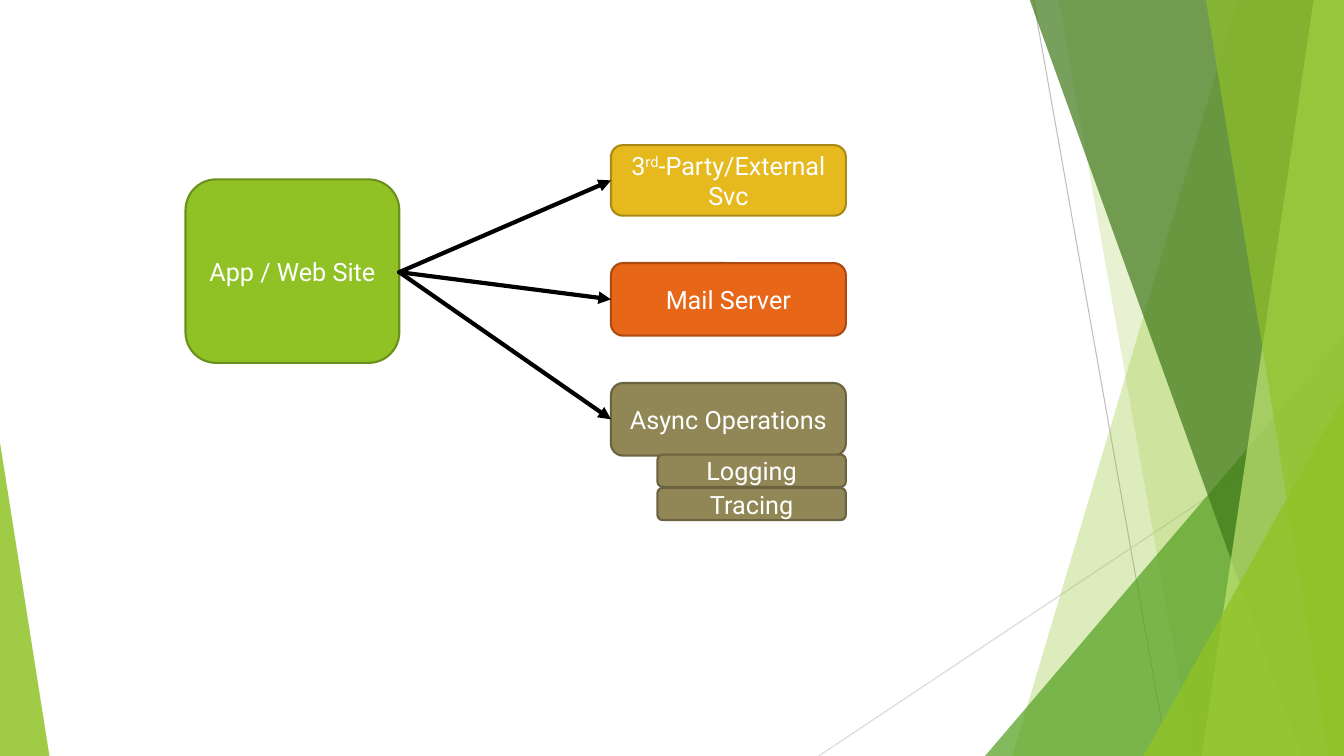
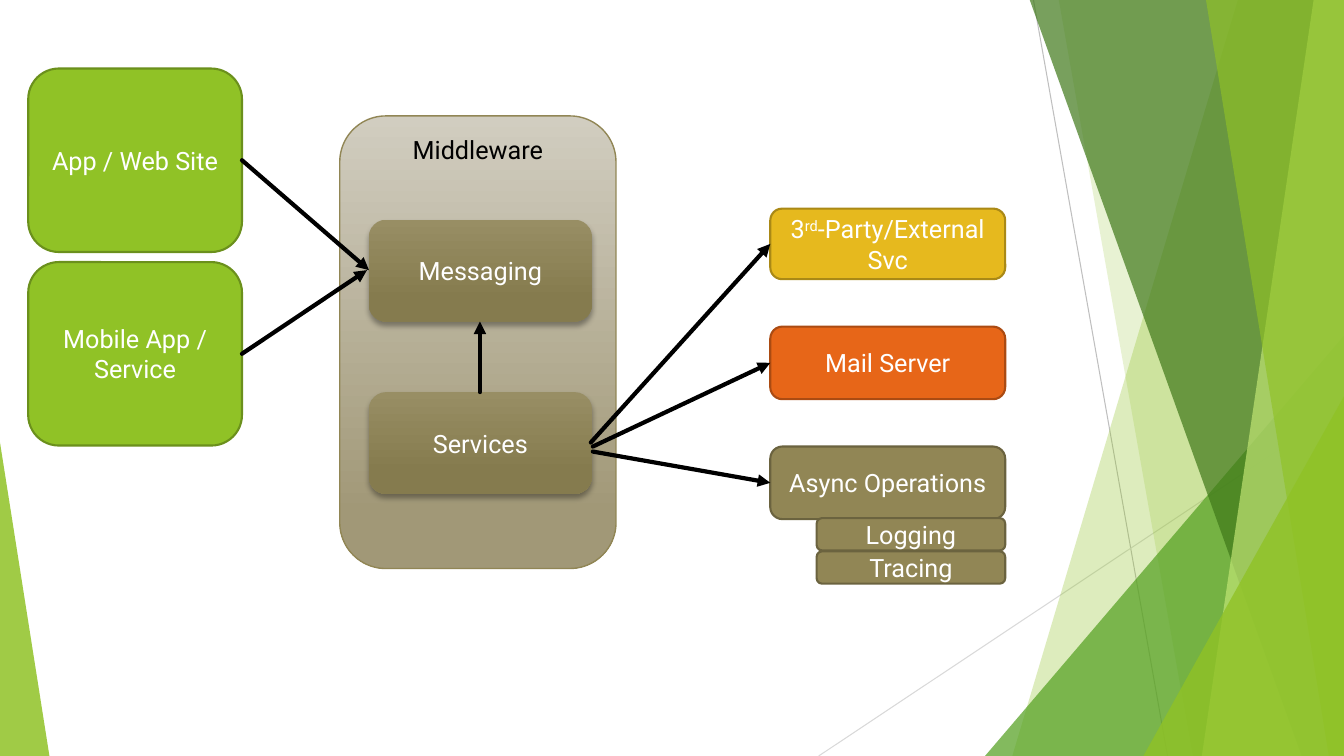
from lxml import etree
from pptx import Presentation
from pptx.dml.color import RGBColor
from pptx.enum.shapes import MSO_CONNECTOR, MSO_SHAPE
from pptx.enum.text import MSO_ANCHOR, PP_ALIGN
from pptx.oxml.ns import qn
from pptx.util import Inches, Pt

ROUNDED = MSO_SHAPE.ROUNDED_RECTANGLE
TRIANGLE = MSO_SHAPE.ISOSCELES_TRIANGLE
STRAIGHT = MSO_CONNECTOR.STRAIGHT
CENTER = PP_ALIGN.CENTER
TOP, MIDDLE = MSO_ANCHOR.TOP, MSO_ANCHOR.MIDDLE

FONT = "Roboto"
WHITE = RGBColor(0xFF, 0xFF, 0xFF)
BLACK = RGBColor(0, 0, 0)
GREEN = RGBColor(0x90, 0xC2, 0x26)
GREEN_EDGE = RGBColor(0x6B, 0x90, 0x1C)
MID_GREEN = RGBColor(0x54, 0xA0, 0x21)
DARK_GREEN = RGBColor(0x3F, 0x78, 0x19)
LIGHT_GREEN = RGBColor(0xC0, 0xE4, 0x74)
YELLOW = RGBColor(0xE6, 0xB9, 0x1E)
YELLOW_EDGE = RGBColor(0xAA, 0x89, 0x16)
ORANGE = RGBColor(0xE7, 0x66, 0x18)
ORANGE_EDGE = RGBColor(0xAB, 0x4B, 0x12)
OLIVE = RGBColor(0x91, 0x86, 0x55)
OLIVE_EDGE = RGBColor(0x6B, 0x63, 0x3F)
GRAY = RGBColor(0xBF, 0xBF, 0xBF)
PALE_GRAY = RGBColor(0xD9, 0xD9, 0xD9)
# Gradients: top colour, bottom colour, position of the bottom colour
PANEL_GRADIENT = (RGBColor(0xD1, 0xCD, 0xC0), RGBColor(0xA1, 0x98, 0x77), 0.88)
MODULE_GRADIENT = (RGBColor(0x98, 0x8E, 0x64), RGBColor(0x85, 0x7B, 0x4E), 0.78)

WIDTH, HEIGHT = 13.33, 7.5
BLEED_TOP = -0.01


def add_box(slide, box, runs, fill, edge=None, edge_width=1.5,
            color=WHITE, anchor=MIDDLE):
    shape = slide.shapes.add_shape(ROUNDED, *map(Inches, box))
    shape.shadow.inherit = False
    if isinstance(fill, RGBColor):
        shape.fill.solid()
        shape.fill.fore_color.rgb = fill
    else:
        shape.fill.gradient()
        shape.fill.gradient_angle = 270
        first, last = shape.fill.gradient_stops
        first.color.rgb, last.color.rgb = fill[:2]
        first.position, last.position = 0, fill[2]
    if edge is None:
        shape.line.fill.background()
    else:
        shape.line.color.rgb = edge
        shape.line.width = Pt(edge_width)
    frame = shape.text_frame
    frame.word_wrap = True
    frame.vertical_anchor = anchor
    paragraph = frame.paragraphs[0]
    paragraph.alignment = CENTER
    for text, baseline in runs:
        run = paragraph.add_run()
        run.text = text
        run.font.name = FONT
        run.font.size = Pt(18)
        run.font.color.rgb = color
        if baseline:
            run.font._element.set("baseline", str(baseline * 1000))
    return shape


def add_line(slide, start, end, color=BLACK, width=3, arrow=True):
    line = slide.shapes.add_connector(STRAIGHT, *map(Inches, start + end))
    line.line.color.rgb = color
    line.line.width = Pt(width)
    properties = line._element.spPr
    etree.SubElement(properties, qn("a:effectLst"))
    if arrow:
        outline = properties.find(qn("a:ln"))
        outline.set("cap", "rnd")
        etree.SubElement(outline, qn("a:tailEnd"), type="triangle")
    return line


presentation = Presentation()
presentation.slide_width = Inches(WIDTH)
presentation.slide_height = Inches(HEIGHT)
blank = presentation.slide_layouts[6]
direct_slide = presentation.slides.add_slide(blank)
middleware_slide = presentation.slides.add_slide(blank)

# Shared backdrop: thin lines, wedges and triangles, kept on the layout
backdrop = [
    add_line(direct_slide, (10.25, 0), (11.58, HEIGHT), GRAY, 0.75, False),
    add_line(direct_slide, (WIDTH, 4.03), (8.12, HEIGHT), PALE_GRAY, 0.75, False),
]
# A wedge has its top x and bottom x; a triangle has left, top, width and apex
facets = [
    ((12.28, 10.04), GREEN, 30),
    ((10.5, 11.83), GREEN, 20),
    ((9.77, 3.33, 3.56, 1), MID_GREEN, 72),
    ((10.21, 12.91), DARK_GREEN, 70),
    ((13.03, 11.92), LIGHT_GREEN, 70),
    ((11.96, 13.18), GREEN, 65),
    ((11.34, 3.93, 1.99, 1), GREEN, 80),
    ((0, 4.39, 0.49, 0), GREEN, 85),
]
for geometry, color, opacity in facets:
    if len(geometry) == 2:
        top_x, bottom_x = geometry
        builder = direct_slide.shapes.build_freeform(Inches(top_x), Inches(BLEED_TOP))
        corners = [(WIDTH, BLEED_TOP), (WIDTH, HEIGHT), (bottom_x, HEIGHT)]
        builder.add_line_segments([(Inches(x), Inches(y)) for x, y in corners])
        facet = builder.convert_to_shape()
    else:
        left, top, width, apex = geometry
        facet = direct_slide.shapes.add_shape(
            TRIANGLE, Inches(left), Inches(top), Inches(width), Inches(HEIGHT - top))
        facet.adjustments[0] = apex
    facet.shadow.inherit = False
    facet.line.fill.background()
    facet.fill.solid()
    facet.fill.fore_color.rgb = color
    color_element = facet._element.spPr.find(qn("a:solidFill"))[0]
    etree.SubElement(color_element, qn("a:alpha"), val=str(opacity * 1000))
    backdrop.append(facet)
for shape in backdrop:
    blank.shapes._spTree.append(shape._element)

# Client apps
for slide, left, top, label in [
    (direct_slide, 1.84, 1.78, "App / Web Site"),
    (middleware_slide, 0.28, 0.68, "App / Web Site"),
    (middleware_slide, 0.28, 2.6, "Mobile App / Service"),
]:
    add_box(slide, (left, top, 2.12, 1.82), [(label, 0)], GREEN, GREEN_EDGE)

# Back-end targets, each column with the arrows that reach it
external_label = [("3", 0), ("rd", 30), ("-Party/External Svc", 0)]
targets = [
    (0, 0, 2.33, 0.7, external_label, YELLOW, YELLOW_EDGE),
    (0, 1.17, 2.33, 0.72, [("Mail Server", 0)], ORANGE, ORANGE_EDGE),
    (0, 2.36, 2.33, 0.72, [("Async Operations", 0)], OLIVE, OLIVE_EDGE),
    (0.46, 3.07, 1.87, 0.32, [("Logging", 0)], OLIVE, OLIVE_EDGE),
    (0.46, 3.4, 1.87, 0.32, [("Tracing", 0)], OLIVE, OLIVE_EDGE),
]
for slide, left, top, starts in [
    (direct_slide, 6.06, 1.44, [(3.96, 2.7)] * 3),
    (middleware_slide, 7.64, 2.07, [(5.86, 4.39), (5.88, 4.43), (5.88, 4.48)]),
]:
    for x, y, width, height, runs, fill, edge in targets:
        add_box(slide, (left + x, top + y, width, height), runs, fill, edge)
    for start, (x, y, width, height, *style) in zip(starts, targets):
        add_line(slide, start, (left, top + y + height / 2))

# Middleware panel and its modules
add_box(middleware_slide, (3.37, 1.15, 2.74, 4.49), [("Middleware", 0)],
        PANEL_GRADIENT, OLIVE, 1, BLACK, TOP)
for label, top in [("Messaging", 2.18), ("Services", 3.89)]:
    module = add_box(middleware_slide, (3.66, top, 2.21, 1.01), [(label, 0)],
                     MODULE_GRADIENT)
    effects = module._element.spPr.find(qn("a:effectLst"))
    shadow = etree.SubElement(effects, qn("a:outerShdw"), blurRad=str(Pt(4)),
                              dist=str(Pt(3)), dir="5400000", rotWithShape="0")
    shadow_color = etree.SubElement(shadow, qn("a:srgbClr"), val=str(BLACK))
    etree.SubElement(shadow_color, qn("a:alpha"), val="35000")

# Arrows into messaging
for start, end in [
    ((4.76, 3.89), (4.76, 3.19)),
    ((2.4, 1.59), (3.66, 2.68)),
    ((2.4, 3.51), (3.64, 2.68)),
]:
    add_line(middleware_slide, start, end)

# The panel goes behind the arrows that leave the services module
tree = middleware_slide.shapes._spTree
for shape in list(middleware_slide.shapes):
    if shape._element.tag == qn("p:cxnSp"):
        tree.append(shape._element)

presentation.save("out.pptx")
